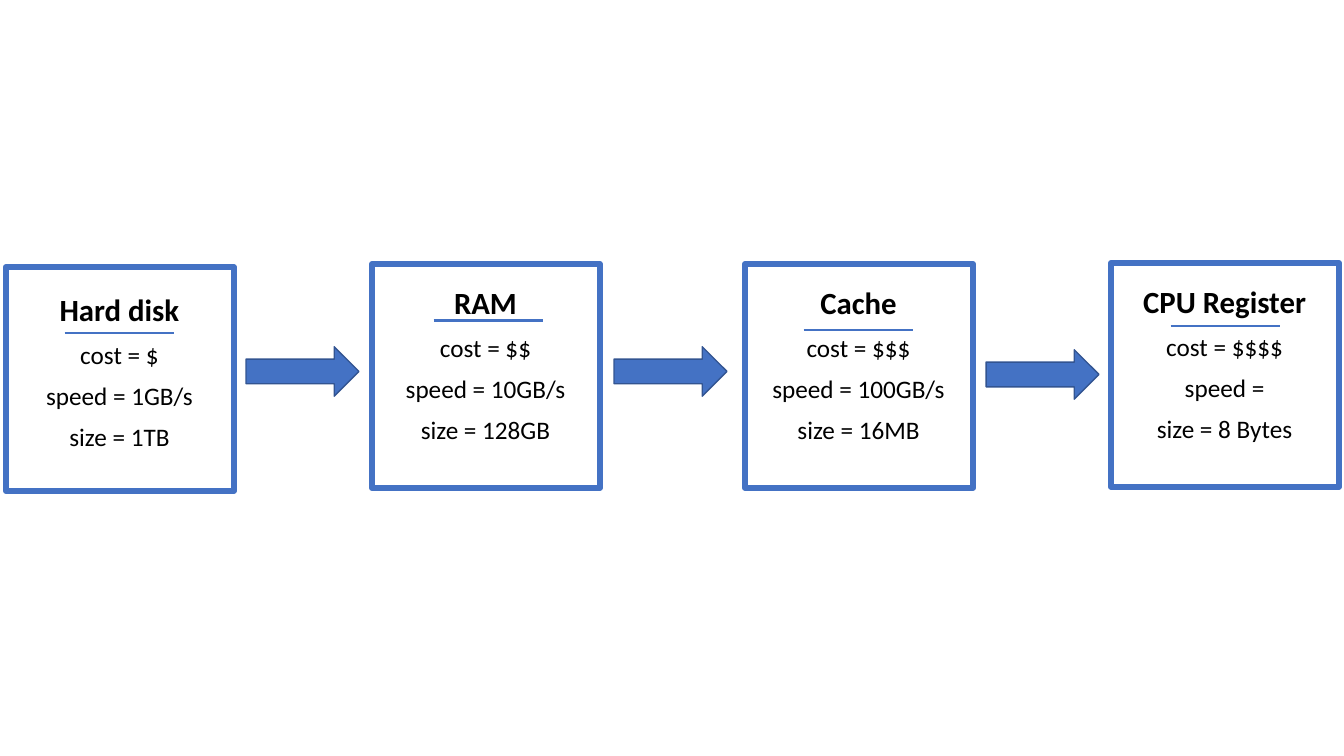
from pptx import Presentation
from pptx.dml.color import RGBColor
from pptx.enum.shapes import MSO_CONNECTOR as Line, MSO_SHAPE as Preset
from pptx.enum.text import MSO_ANCHOR as Anchor, PP_ALIGN as Align
from pptx.oxml.ns import qn
from pptx.util import Inches, Pt
from lxml.etree import SubElement

BLUE = RGBColor(0x44, 0x72, 0xC4)
DARK_BLUE = RGBColor(0x32, 0x54, 0x91)
BLACK = RGBColor(0, 0, 0)

# Frame left and top, text top, rule left and top, then the wording
LEVELS = [
    (0.06, 2.65, 2.88, 0.64, 3.3, "Hard disk",
     ["cost = $", "speed = 1GB/s", "size = 1TB"]),
    (3.69, 2.62, 2.81, 4.3, 3.18, "RAM",
     ["cost = $$", "speed = 10GB/s", "size = 128GB"]),
    (7.39, 2.62, 2.81, 7.97, 3.27, "Cache",
     ["cost = $$$", "speed = 100GB/s", "size = 16MB"]),
    (11.02, 2.61, 2.8, 11.61, 3.23, "CPU Register",
     ["cost = $$$$", "speed =", "size = 8 Bytes"]),
]
ARROWS = [(2.44, 3.44), (6.09, 3.44), (9.78, 3.47)]


class MemoryPage:
    font = "Calibri"

    def __init__(self, page):
        self.shapes = page.shapes

    def frame(self, left, top):
        box = self.shapes.add_shape(Preset.RECTANGLE, Inches(left), Inches(top),
                                    Inches(2.26), Inches(2.22))
        box.shadow.inherit = False
        box.fill.background()
        box.line.color.rgb = BLUE
        box.line.width = Pt(4.5)

    def arrow(self, left, top):
        arrow = self.shapes.add_shape(Preset.RIGHT_ARROW, Inches(left), Inches(top),
                                      Inches(1.12), Inches(0.49))
        arrow.shadow.inherit = False
        arrow.fill.solid()
        arrow.fill.fore_color.rgb = BLUE
        arrow.line.color.rgb = DARK_BLUE
        arrow.line.width = Pt(1)

    def rule(self, left, top):
        rule = self.shapes.add_connector(Line.STRAIGHT, Inches(left), Inches(top),
                                         Inches(left + 1.09), Inches(top))
        rule.line.color.rgb = BLUE
        rule.line.width = Pt(1.5)
        SubElement(rule._element.spPr, qn("a:effectLst"))

    def text(self, left, top, title, facts):
        box = self.shapes.add_textbox(Inches(left), Inches(top), Inches(2.05), Inches(1.75))
        body = box.text_frame
        body.word_wrap = True
        body.vertical_anchor = Anchor.TOP
        for index, words in enumerate([title, *facts]):
            para = body.add_paragraph() if index else body.paragraphs[0]
            para.alignment = Align.CENTER
            para.line_spacing = 0.9
            para.space_before = Pt(10)
            span = para.add_run()
            span.text = words
            span.font.name = self.font
            span.font.size = Pt(18 if index else 22)
            span.font.bold = index == 0
            span.font.color.rgb = BLACK


def main():
    deck = Presentation()
    deck.slide_width, deck.slide_height = Inches(13.33), Inches(7.5)
    page = MemoryPage(deck.slides.add_slide(deck.slide_layouts[6]))

    # Memory levels, from slow and cheap to fast and costly
    for left, top, text_top, rule_left, rule_top, title, facts in LEVELS:
        page.text(left + 0.1, text_top, title, facts)
        page.frame(left, top)
        page.rule(rule_left, rule_top)

    # Arrows between the levels
    for left, top in ARROWS:
        page.arrow(left, top)

    deck.save("out.pptx")


if __name__ == "__main__":
    main()
